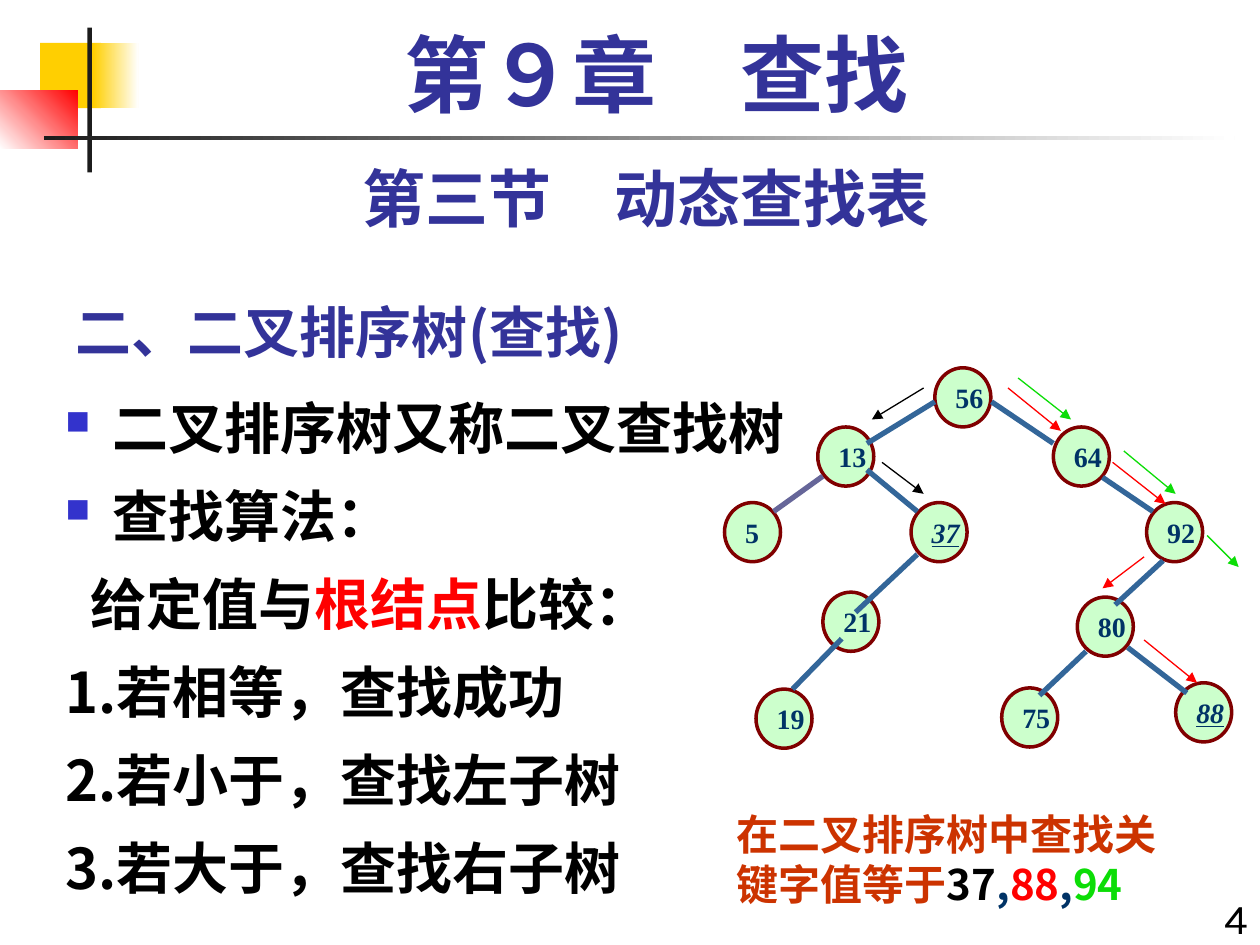
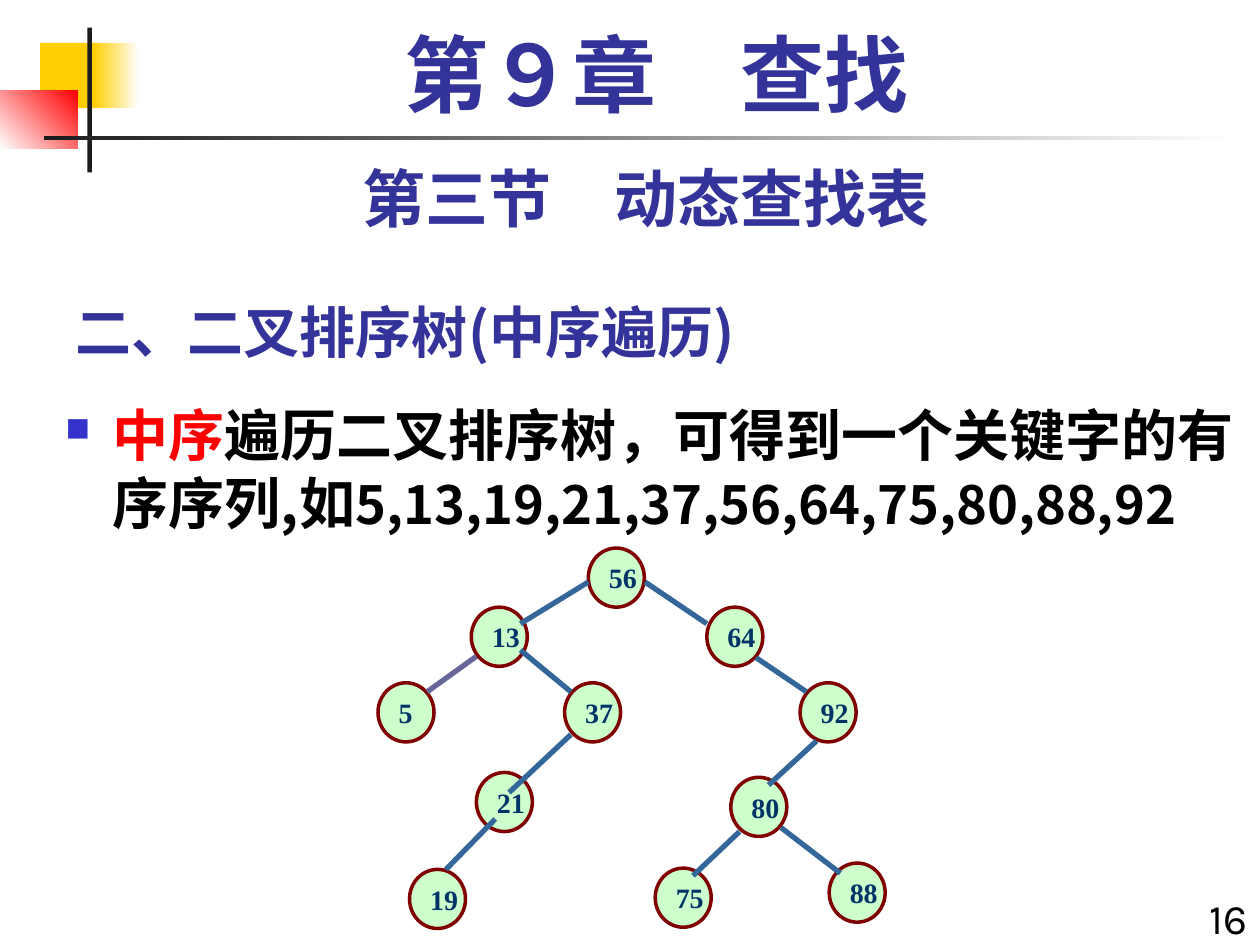
from lxml import etree
from pptx import Presentation
from pptx.dml.color import RGBColor
from pptx.enum import shapes as sh, text as tx
from pptx.oxml import ns
from pptx.util import Pt

INDIGO = RGBColor(0x33, 0x33, 0x99)
BULLET = RGBColor(0x33, 0x33, 0xCC)
BLACK = RGBColor(0, 0, 0)
WHITE = RGBColor(0xFF, 0xFF, 0xFF)
RED = RGBColor(0xFF, 0, 0)
GREEN = RGBColor(0x0C, 0xDD, 0x07)
RUST = RGBColor(0xCC, 0x33, 0x00)
NAVY = RGBColor(0x00, 0x33, 0x66)
YELLOW = RGBColor(0xFF, 0xCF, 0x01)
CHARCOAL = RGBColor(0x1C, 0x1C, 0x1C)
MINT = RGBColor(0xCC, 0xFF, 0xCC)
MAROON = RGBColor(0x80, 0, 0)
STEEL = RGBColor(0x33, 0x66, 0x99)
VIOLET = RGBColor(0x66, 0x66, 0x99)

CJK, SERIF, SANS = "Noto Sans CJK SC", "Times New Roman", "Karla"
HANGING = 27
NODE_W, NODE_H = 32, 33.8

NODES = {
    56: (120.2, 0), 13: (53.3, 33.8), 64: (187.9, 33.8),
    5: (0, 77), 37: (106.6, 77), 92: (241.2, 77),
    21: (56.2, 128.2), 80: (201.6, 131),
    19: (18, 183.6), 75: (158.4, 182.9), 88: (257.8, 180),
}
EDGES = {
    (56, 13): (120.2, 19.4, 81.4, 43.2),
    (56, 64): (152.6, 19.4, 187.9, 43.2),
    (13, 5): (56.2, 61.9, 28.1, 82.1),
    (13, 37): (81.4, 58.3, 110.2, 82.1),
    (64, 92): (216, 62.6, 244.8, 82.1),
    (37, 21): (110.2, 106.6, 74.9, 139.7),
    (92, 80): (250.6, 110.2, 223.2, 135.4),
    (21, 19): (67, 154.8, 38.9, 183.6),
    (80, 75): (206.6, 162, 180, 187.2),
    (80, 88): (230.4, 159.8, 264.2, 185.8),
}
SEARCH_STEPS = {
    BLACK: [(113.8, 11.5, 84.2, 29.5), (90, 54, 113.8, 72)],
    RED: [(162, 11.5, 192.2, 36), (221.8, 54, 252, 77.8),
          (239.8, 108, 216, 126), (239.8, 155.5, 270, 180)],
    GREEN: [(167.8, 5.8, 198, 29.5), (228.2, 47.5, 257.8, 72),
            (275.8, 95.8, 293.8, 113.8)],
}


def sub(parent, tag, **attributes):
    return etree.SubElement(parent, ns.qn(tag), attributes)


def add_run(paragraph, words, size, color, font=CJK, bold=True):
    run = paragraph.add_run()
    run.text = words
    run.font.size = Pt(size)
    run.font.bold = bold
    run.font.name = font
    run.font.color.rgb = color
    sub(run.font._element, "a:ea", typeface=CJK)
    return run


def place(shape, box):
    shape.left, shape.top, shape.width, shape.height = map(Pt, box)
    frame = shape.text_frame
    frame.word_wrap = True
    frame.auto_size = tx.MSO_AUTO_SIZE.NONE
    return frame


def add_label(slide, box, runs, pitch=None, align=tx.PP_ALIGN.LEFT, inset=3.6):
    frame = place(slide.shapes.add_textbox(0, 0, 0, 0), box)
    frame.margin_top = Pt(inset)
    line = frame.paragraphs[0]
    line.alignment = align
    if pitch:
        line.line_spacing = Pt(pitch)
    for run in runs:
        add_run(line, *run)


def add_block(slide, box, color, fade_to=None, angle=0):
    block = slide.shapes.add_shape(sh.MSO_SHAPE.RECTANGLE, *map(Pt, box))
    block.shadow.inherit = False
    block.line.fill.background()
    if fade_to is None:
        block.fill.solid()
        block.fill.fore_color.rgb = color
    else:
        block.fill.gradient()
        block.fill.gradient_angle = angle
        for stop, shade in zip(block.fill.gradient_stops, (color, fade_to)):
            stop.color.rgb = shade
    return block


def decorate_layout(layout, slide):
    blocks = [
        add_block(slide, (23, 24.5, 34.6, 37.4), YELLOW),
        add_block(slide, (53.3, 24.5, 25.9, 37.4), YELLOW, WHITE),
        add_block(slide, (0, 51.8, 44.6, 33.1), WHITE, RED, 45),
        add_block(slide, (49.9, 15.8, 2.6, 82.8), CHARCOAL),
        add_block(slide, (25.2, 77.8, 680.4, 2.5), CHARCOAL, WHITE),
    ]
    for block in blocks:
        layout.shapes.element.append(block.element)


def add_headings(slide, topic, number):
    center = tx.PP_ALIGN.CENTER
    add_label(slide, (48.2, 12.2, 653.8, 59.8),
              [("第９章\u3000查找", 48, INDIGO, SERIF)], 54.6, center)
    add_label(slide, (36, 84.2, 666, 50.4),
              [("第三节\u3000动态查找表", 36, INDIGO, SANS)], 46.6, center)
    add_label(slide, (671.8, 504, 48.2, 36),
              [(number, 24, BLACK, SANS, False)], align=tx.PP_ALIGN.RIGHT, inset=6)
    frame = place(slide.shapes.title, (36, 156.2, 450, 54))
    frame.vertical_anchor = tx.MSO_ANCHOR.BOTTOM
    frame.margin_bottom = Pt(1.5)
    frame.paragraphs[0].alignment = tx.PP_ALIGN.LEFT
    add_run(frame.paragraphs[0], topic, 32, INDIGO)


def set_bullet(paragraph, bulleted, margin):
    properties = paragraph._p.get_or_add_pPr()
    hang = HANGING if bulleted else 0
    properties.set("marL", str(Pt(hang or margin)))
    properties.set("indent", str(Pt(-hang)))
    if bulleted:
        sub(sub(properties, "a:buClr"), "a:srgbClr", val=str(BULLET))
        sub(properties, "a:buSzPct", val="60000")
        sub(properties, "a:buFont", typeface="Wingdings")
        sub(properties, "a:buChar", char="n")
    else:
        sub(properties, "a:buNone")


def add_body(slide, items, pitch, gap=0, inset=3.6):
    frame = place(slide.placeholders[1], (30.2, 221.8, 689.8, 318.2))
    frame.margin_top = Pt(inset)
    for index, (bulleted, margin, runs) in enumerate(items):
        line = frame.add_paragraph() if index else frame.paragraphs[0]
        line.alignment = tx.PP_ALIGN.LEFT
        line.line_spacing = Pt(pitch)
        line.space_before = Pt(gap if index else 0)
        set_bullet(line, bulleted, margin)
        for run in runs:
            add_run(line, *run)


def add_line(slide, origin, ends, color, width, arrow=False):
    left, top = origin
    x1, y1, x2, y2 = ends
    line = slide.shapes.add_connector(
        sh.MSO_CONNECTOR.STRAIGHT,
        Pt(left + x1), Pt(top + y1), Pt(left + x2), Pt(top + y2))
    line.line.color.rgb = color
    line.line.width = Pt(width)
    if arrow:
        sub(line.line._get_or_add_ln(), "a:tailEnd", type="triangle")
    sub(line._element.spPr, "a:effectLst")


def add_node(slide, origin, key, found):
    x, y = NODES[key]
    node = slide.shapes.add_shape(
        sh.MSO_SHAPE.OVAL, Pt(origin[0] + x), Pt(origin[1] + y), Pt(NODE_W), Pt(NODE_H))
    node.shadow.inherit = False
    node.fill.solid()
    node.fill.fore_color.rgb = MINT
    node.line.color.rgb = MAROON
    node.line.width = Pt(2)
    frame = node.text_frame
    frame.word_wrap = False
    frame.vertical_anchor = tx.MSO_ANCHOR.MIDDLE
    frame.paragraphs[0].alignment = tx.PP_ALIGN.LEFT
    run = add_run(frame.paragraphs[0], str(key), 16, NAVY, SERIF)
    if found:
        run.font.italic = run.font.underline = True


def add_tree(slide, origin, found=()):
    for key in NODES:
        add_node(slide, origin, key, key in found)
    for pair, ends in EDGES.items():
        add_line(slide, origin, ends, VIOLET if pair == (13, 5) else STEEL, 3)


def build_search(slide):
    add_headings(slide, "二、二叉排序树(查找)", "4")
    steps = ["1.若相等，查找成功", "2.若小于，查找左子树", "3.若大于，查找右子树"]
    add_body(slide, [
        (True, 0, [("二叉排序树又称二叉查找树", 32, BLACK)]),
        (True, 0, [("查找算法：", 32, BLACK)]),
        (False, 14.3, [("给定值与", 32, BLACK), ("根结点", 32, RED),
                       ("比较：", 32, BLACK)]),
        *[(False, 0, [(step, 32, BLACK)]) for step in steps],
    ], pitch=37.7, gap=12.6)
    add_label(slide, (414, 455.8, 275.8, 64.8), [
        ("在二叉排序树中查找关键字值等于", 24, RUST),
        ("37", 24, BLACK), (",", 24, NAVY), ("88", 24, RED),
        (",", 24, NAVY), ("94", 24, GREEN),
    ], pitch=28.6, inset=6.6)
    origin = (414, 210.2)
    add_tree(slide, origin, found=(37, 88))
    for color, arrows in SEARCH_STEPS.items():
        for ends in arrows:
            add_line(slide, origin, ends, color, 0.75, arrow=True)


def build_traversal(slide):
    add_headings(slide, "二、二叉排序树(中序遍历)", "16")
    add_body(slide, [(True, 0, [
        ("中序", 32, RED),
        ("遍历二叉排序树，可得到一个关键字的有序序列,如", 32, BLACK),
        (",".join(map(str, sorted(NODES))), 30, BLACK),
    ])], pitch=38.9, inset=6.4)
    add_tree(slide, (216, 313.2))


def main():
    deck = Presentation()
    deck.slide_width, deck.slide_height = Pt(720), Pt(540)
    layout = deck.slide_layouts[1]
    search, traversal = (deck.slides.add_slide(layout) for _ in range(2))
    decorate_layout(layout, search)
    build_search(search)
    build_traversal(traversal)
    deck.save("out.pptx")


if __name__ == "__main__":
    main()
